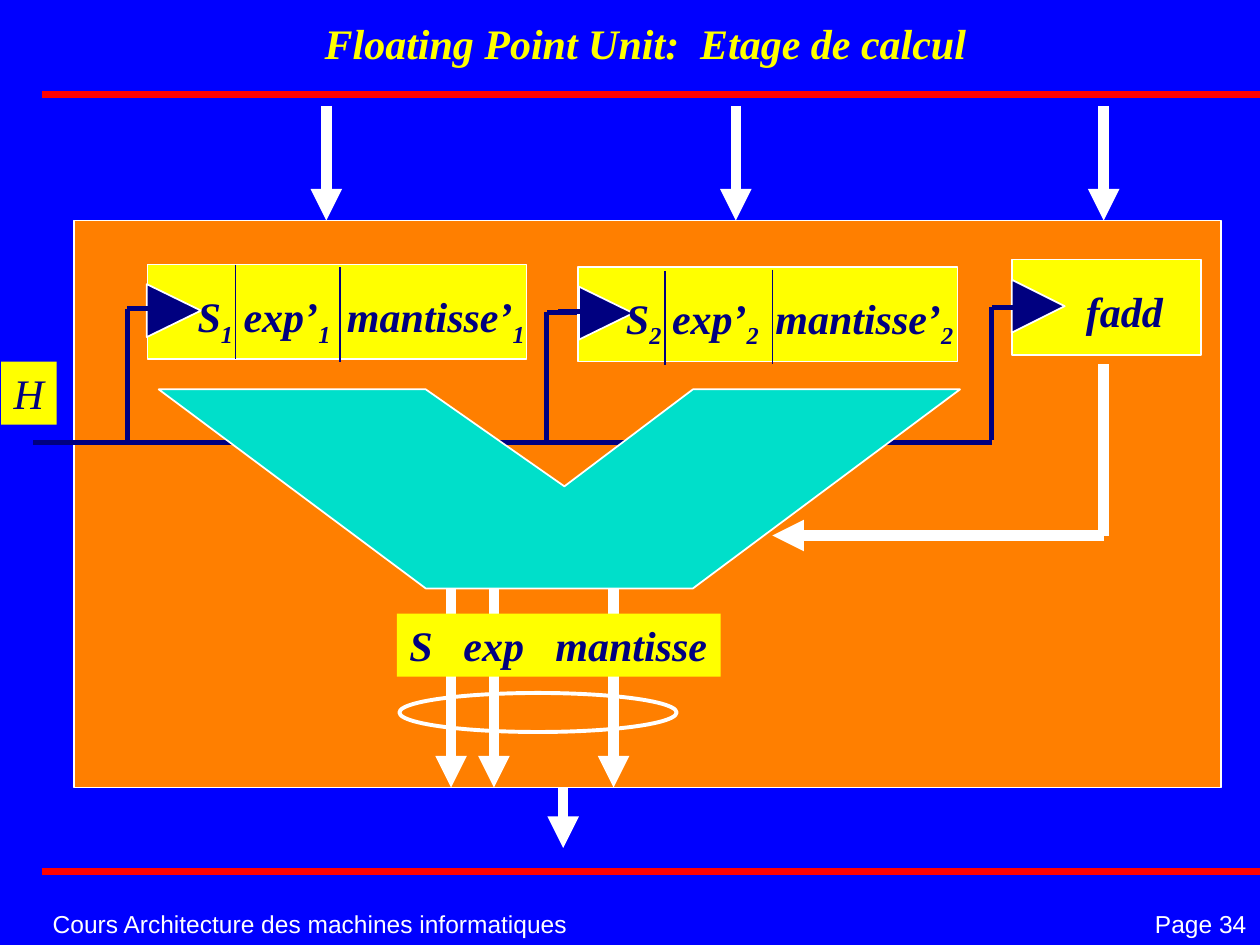
from dataclasses import dataclass

from lxml import etree
from pptx import Presentation
from pptx.dml.color import RGBColor
from pptx.enum.shapes import MSO_CONNECTOR, MSO_SHAPE
from pptx.enum.text import MSO_ANCHOR, MSO_AUTO_SIZE, PP_ALIGN
from pptx.oxml.ns import qn
from pptx.util import Inches, Pt

STRAIGHT = MSO_CONNECTOR.STRAIGHT
RECTANGLE, TRIANGLE, OVAL = MSO_SHAPE.RECTANGLE, MSO_SHAPE.ISOSCELES_TRIANGLE, MSO_SHAPE.OVAL
TOP, MIDDLE, BOTTOM = MSO_ANCHOR.TOP, MSO_ANCHOR.MIDDLE, MSO_ANCHOR.BOTTOM
LEFT, CENTER = PP_ALIGN.LEFT, PP_ALIGN.CENTER

BLUE = RGBColor(0x00, 0x00, 0xFF)
RED = RGBColor(0xFF, 0x01, 0x00)
YELLOW = RGBColor(0xFF, 0xFF, 0x00)
ORANGE = RGBColor(0xFF, 0x7F, 0x00)
NAVY = RGBColor(0x00, 0x00, 0x80)
TEAL = RGBColor(0x00, 0xDF, 0xCA)
WHITE = RGBColor(0xFF, 0xFF, 0xFF)

SERIF = {"name": "Times New Roman", "size": Pt(24), "italic": True}
LABEL = {**SERIF, "bold": True}
FOOTER = {"name": "Arial", "size": Pt(14)}


@dataclass
class Box:
    left: float
    top: float
    width: float
    height: float

    def lengths(self) -> list:
        return [Inches(v) for v in (self.left, self.top, self.width, self.height)]


@dataclass
class Operand:
    index: str
    register: Box
    clock: Box
    text: Box
    separators: list  # (x, top) of each vertical rule


OPERANDS = [
    Operand("1", Box(1.17, 2.1, 3.01, 0.75), Box(1.17, 2.25, 0.42, 0.43),
            Box(1.47, 2.26, 2.8, 0.56), [(1.87, 2.1), (2.7, 2.12)]),
    Operand("2", Box(4.59, 2.12, 3.01, 0.75), Box(4.6, 2.27, 0.42, 0.43),
            Box(4.87, 2.27, 2.8, 0.56), [(5.28, 2.15), (6.13, 2.14)]),
]


def paint(shape, fill=None, line=None, width: float = 1) -> None:
    shape.shadow.inherit = False
    if fill is None:
        shape.fill.background()
    else:
        shape.fill.solid()
        shape.fill.fore_color.rgb = fill
    if line is None:
        shape.line.fill.background()
    else:
        shape.line.color.rgb = line
        shape.line.width = Pt(width)


def add_block(slide, kind, box: Box, fill=None, line=WHITE, width: float = 1):
    shape = slide.shapes.add_shape(kind, *box.lengths())
    paint(shape, fill, line, width)
    return shape


def add_clock(slide, box: Box) -> None:
    add_block(slide, TRIANGLE, box, NAVY).rotation = 90


def add_line(slide, start: tuple, end: tuple, color, width: float, arrow: bool = False) -> None:
    connector = slide.shapes.add_connector(STRAIGHT, *(Inches(v) for v in (*start, *end)))
    connector.line.color.rgb = color
    connector.line.width = Pt(width)
    if arrow:
        etree.SubElement(connector.line._get_or_add_ln(), qn("a:tailEnd"), type="triangle")
    etree.SubElement(connector._element.spPr, qn("a:effectLst"))


def write(shape, pieces: list, style: dict, color, anchor=TOP, align=LEFT,
          wrap: bool = False, tabs: tuple = ()) -> None:
    """Write (text, is_subscript) pieces as the only paragraph of a shape."""
    frame = shape.text_frame
    for name, value in {"word_wrap": wrap, "vertical_anchor": anchor,
                        "auto_size": MSO_AUTO_SIZE.NONE}.items():
        setattr(frame, name, value)
    paragraph = frame.paragraphs[0]
    paragraph.alignment = align
    if tabs:
        tab_list = etree.SubElement(paragraph._p.get_or_add_pPr(), qn("a:tabLst"))
        for position in tabs:
            etree.SubElement(tab_list, qn("a:tab"), pos=str(Inches(position)), algn="l")
    for text, is_subscript in pieces:
        run = paragraph.add_run()
        run.text = text
        for name, value in style.items():
            setattr(run.font, name, value)
        run.font.color.rgb = color
        if is_subscript:
            run.font._element.set("baseline", "-25000")


def add_text(slide, box: Box, pieces: list, style: dict, color, fill=None, **options) -> None:
    text_box = slide.shapes.add_textbox(*box.lengths())
    if fill is not None:
        text_box.fill.solid()
        text_box.fill.fore_color.rgb = fill
    write(text_box, pieces, style, color, **options)


def add_operand(slide, operand: Operand) -> None:
    add_block(slide, RECTANGLE, operand.register, YELLOW)
    add_clock(slide, operand.clock)
    for x, top in operand.separators:
        add_line(slide, (x, top), (x, top + 0.75), NAVY, 1)
    index = operand.index
    pieces = [("S", False), (index, True), (" exp’", False), (index + " ", True),
              (" mantisse’", False), (index, True)]
    add_text(slide, operand.text, pieces, LABEL, NAVY)


def add_alu(slide) -> None:
    points = [(1.26, 3.09), (3.38, 4.67), (5.5, 4.67), (7.62, 3.09), (5.5, 3.09),
              (4.48, 3.86), (3.38, 3.09)]
    corners = [(Inches(x), Inches(y)) for x, y in points]
    builder = slide.shapes.build_freeform(*corners[0])
    builder.add_line_segments(corners[1:], close=True)
    paint(builder.convert_to_shape(), TEAL, WHITE)


def main() -> None:
    presentation = Presentation()
    presentation.slide_width, presentation.slide_height = Inches(10), Inches(7.5)
    slide = presentation.slides.add_slide(presentation.slide_layouts[5])
    slide.background.fill.solid()
    slide.background.fill.fore_color.rgb = BLUE

    # Page frame and title
    for y in (0.75, 6.92):
        add_line(slide, (0.33, y), (10, y), RED, 4)
    add_text(slide, Box(0.32, 7.17, 4.3, 0.33),
             [("Cours Architecture des machines informatiques", False)],
             FOOTER, WHITE, anchor=MIDDLE)
    add_text(slide, Box(8.73, 7.17, 1.6, 0.33), [("Page 34", False)],
             FOOTER, WHITE, anchor=MIDDLE, align=CENTER)
    title = slide.shapes.title
    title.left, title.top, title.width, title.height = Box(0.95, 0.17, 8.43, 0.42).lengths()
    write(title, [("Floating Point Unit:  Etage de calcul ", False)], LABEL, YELLOW,
          anchor=BOTTOM, align=CENTER, wrap=True)

    # Unit with its three inputs
    add_block(slide, RECTANGLE, Box(0.59, 1.75, 9.1, 4.5), ORANGE)
    for x in (2.59, 5.84, 8.76):
        add_line(slide, (x, 0.84), (x, 1.75), WHITE, 6, arrow=True)

    # Operation register and first operand
    add_block(slide, RECTANGLE, Box(8.03, 2.06, 1.5, 0.76), YELLOW)
    add_clock(slide, Box(8.03, 2.22, 0.42, 0.42))
    add_text(slide, Box(8.52, 2.22, 0.81, 0.5), [("fadd", False)], LABEL, NAVY)
    add_operand(slide, OPERANDS[0])

    # Clock wiring
    for x, y in ((1.01, 2.45), (7.87, 2.44), (4.34, 2.48)):
        add_line(slide, (x + 0.36, y), (x, y), NAVY, 3)
        add_line(slide, (x, y), (x, y + 1.05), NAVY, 3)
    add_line(slide, (7.87, 3.51), (0.26, 3.51), NAVY, 3)
    add_text(slide, Box(0.01, 2.87, 0.44, 0.5), [("H", False)], SERIF, NAVY, fill=YELLOW)

    # Arithmetic unit and second operand, over the wiring
    add_alu(slide)
    add_operand(slide, OPERANDS[1])
    add_line(slide, (4.8, 2.47), (4.43, 2.47), NAVY, 3)

    # Output and operation control
    add_line(slide, (4.47, 6.25), (4.47, 6.73), WHITE, 6, arrow=True)
    add_line(slide, (8.76, 2.89), (8.76, 4.25), WHITE, 6)
    add_line(slide, (8.76, 4.25), (6.13, 4.25), WHITE, 6, arrow=True)

    # Result fields
    for x in (3.58, 3.92, 4.87):
        add_line(slide, (x, 4.67), (x, 6.25), WHITE, 6, arrow=True)
    add_text(slide, Box(3.15, 4.87, 2.57, 0.5), [("S\texp\tmantisse", False)],
             LABEL, NAVY, fill=YELLOW, tabs=(0.43, 1.16))
    add_block(slide, OVAL, Box(3.17, 5.5, 2.2, 0.31), width=2.25)

    presentation.save("out.pptx")


if __name__ == "__main__":
    main()
